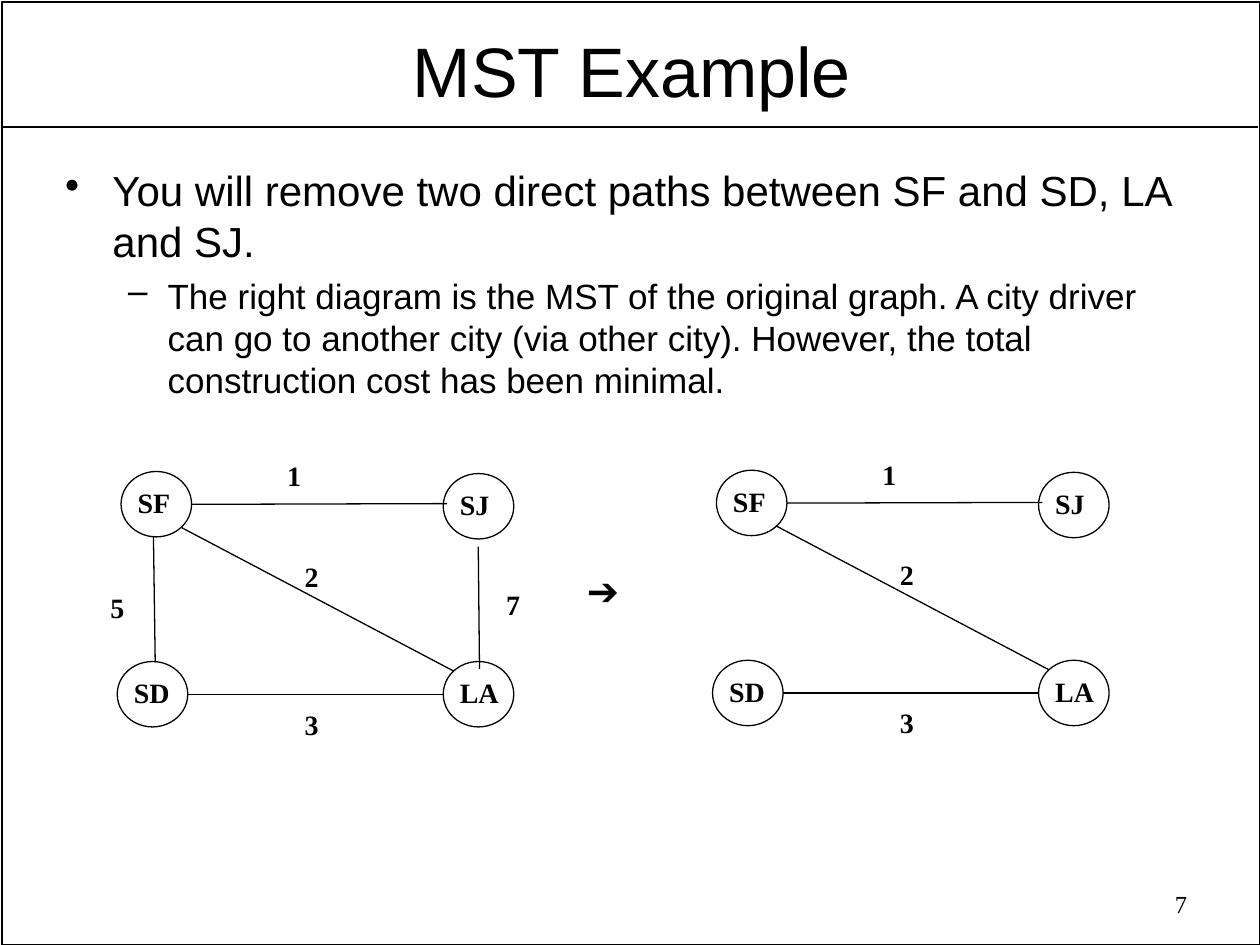
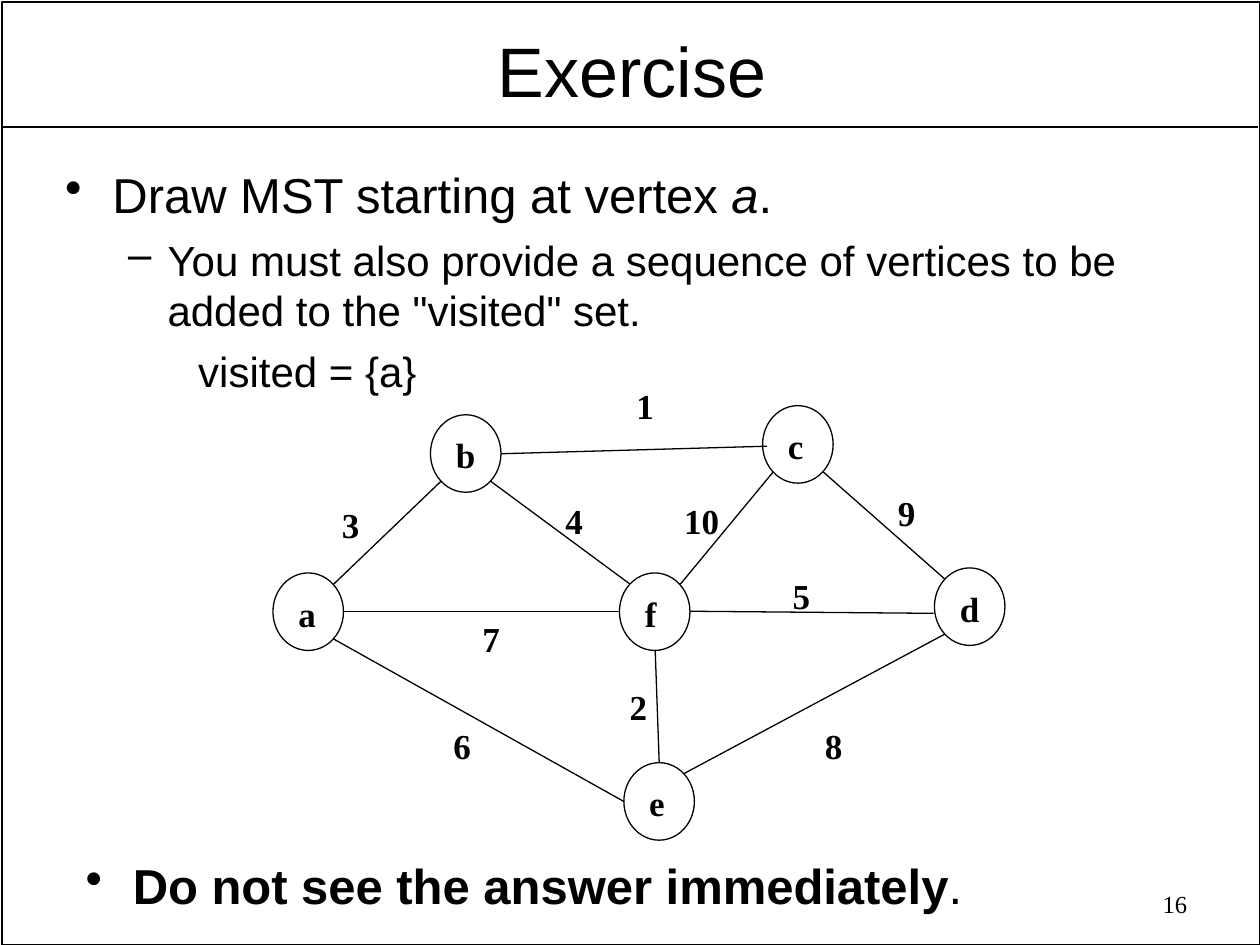
from lxml.etree import SubElement
from pptx import Presentation
from pptx.dml.color import RGBColor
from pptx.enum.shapes import MSO_CONNECTOR, MSO_SHAPE
from pptx.enum.text import PP_ALIGN
from pptx.oxml.ns import qn
from pptx.util import Pt

BLACK = RGBColor(0, 0, 0)
SANS = "Arial"
SERIF = "Times New Roman"
FRAME_LINE = 1
GRAPH_LINE = 0.75
INSETS = (7.2, 3.6)

BULLET = {"sign": "•", "left": 27, "hang": 27}
DASH = {"sign": "–", "left": 58.5, "hang": 22.5}
PLAIN = {"sign": None, "left": 76, "hang": 0}

GLYPH_WIDTHS = {
    "S": 0.56, "F": 0.61, "J": 0.5, "D": 0.72, "L": 0.67, "A": 0.72,
    "a": 0.5, "b": 0.56, "c": 0.44, "d": 0.56, "e": 0.44, "f": 0.33,
}
DIGIT_WIDTH = 0.5

CITIES = {
    "size": 16,
    "node": (40.3, 37.4),
    "label_shift": (2.4, 4.4),
    "label_pad": 0,
    "nodes": {"SF": (69.2, 269.4), "SJ": (253.3, 270.6), "SD": (67, 378), "LA": (253.3, 378)},
    "edges": [
        (1, (109.5, 288.2), (255.5, 287.8), (157, 258.5)),
        (2, (259.3, 383.5), (103.8, 301.5), (167, 316)),
        (3, (253.3, 396.7), (107.3, 396.7), (167, 400.5)),
        (5, (87.7, 306.3), (88.7, 378.5), (56, 334)),
        (7, (273.3, 312.3), (274, 382.3), (282.2, 332)),
    ],
}
TREE_WEIGHTS = {1, 2, 3}
TREE = {**CITIES, "edges": [edge for edge in CITIES["edges"] if edge[0] in TREE_WEIGHTS]}
TREE_SHIFT = (340.2, -0.7)

VERTICES = {
    "size": 20,
    "node": (40.3, 44.3),
    "label_shift": (2.3, 7.4),
    "label_pad": 5,
    "nodes": {
        "a": (156, 327.4), "b": (246, 237), "c": (435.8, 231.8),
        "d": (534, 324.5), "e": (356.5, 435.8), "f": (354, 327.4),
    },
    "edges": [
        (1, (438.3, 255), (286.4, 259.3), (356.5, 216)),
        (2, (376.7, 435.8), (374.4, 371.6), (352.7, 388)),
        (3, (252, 275), (190.7, 333.8), (188.3, 284)),
        (4, (360, 333.8), (280.4, 275), (316, 282)),
        (5, (394.5, 349.3), (533.5, 350.5), (445.8, 324.7)),
        (6, (356.5, 458), (190.4, 365), (252, 410.6)),
        (7, (354, 349.3), (196.5, 349.3), (268.6, 349.2)),
        (8, (391, 442), (540, 362.3), (464.2, 410.6)),
        (9, (470.2, 269.5), (540, 331), (506, 277.2)),
        (10, (388.8, 333.8), (442, 269.5), (383.8, 282)),
    ],
}

BODY_BOX = (30.2, 90.7, 660.2, 149)
CLOSING_BOX = (41.8, 485.3, 660.2, 49)

PAGES = [
    {
        "title": "MST Example",
        "number": "7",
        "texts": [(BODY_BOX, [
            (BULLET, 24, 6, [
                ("You will remove two direct paths between SF and SD, LA and SJ.", "")]),
            (DASH, 20, 5, [
                ("The right diagram is the MST of the original graph. A city driver can go to "
                 "another city (via other city). However, the total construction cost has been "
                 "minimal.", "")]),
        ])],
        "graphs": [(CITIES, (0, 0)), (TREE, TREE_SHIFT)],
        "arrow": (328.3, 320.4, 41.8, 33.8),
    },
    {
        "title": "Exercise",
        "number": "16",
        "texts": [
            (BODY_BOX, [
                (BULLET, 28, 7, [
                    ("Draw MST starting at vertex ", ""), ("a", "italic"), (".", "")]),
                (DASH, 24, 6, [
                    ("You must also provide a sequence of vertices to be added to the "
                     "\"visited\" set.", "")]),
                (PLAIN, 24, 6, [("visited = {a}", "")]),
            ]),
            (CLOSING_BOX, [
                (BULLET, 28, 7, [("Do not see the answer immediately", "bold"), (".", "")]),
            ]),
        ],
        "graphs": [(VERTICES, (0, 0))],
        "arrow": None,
    },
]


def points(values):
    return [Pt(value) for value in values]


def add_frame(shapes, at, insets=INSETS, wrap=True):
    frame = shapes.add_textbox(*points(at)).text_frame
    frame.word_wrap = wrap
    frame.margin_left = frame.margin_right = Pt(insets[0])
    frame.margin_top = frame.margin_bottom = Pt(insets[1])
    return frame


def set_font(font, size, name):
    font.size = Pt(size)
    font.name = name
    font.color.rgb = BLACK


def add_line_of_text(shapes, at, text, size, name, align=PP_ALIGN.LEFT, **options):
    frame = add_frame(shapes, at, **options)
    para = frame.paragraphs[0]
    para.text = text
    para.alignment = align
    set_font(para.font, size, name)
    return frame


def set_bullet(para, style):
    properties = para._p.get_or_add_pPr()
    properties.set("marL", str(Pt(style["left"])))
    properties.set("indent", str(-Pt(style["hang"])))
    if style["sign"]:
        colour = SubElement(properties, qn("a:buClr"))
        SubElement(colour, qn("a:srgbClr")).set("val", str(BLACK))
        SubElement(properties, qn("a:buChar")).set("char", style["sign"])
    else:
        SubElement(properties, qn("a:buNone"))


def add_paragraphs(page, at, content):
    frame = add_frame(page.shapes, at)
    for index, (style, size, space, spans) in enumerate(content):
        para = frame.add_paragraph() if index else frame.paragraphs[0]
        para.space_before = Pt(space)
        set_bullet(para, style)
        set_font(para.font, size, SANS)
        for text, emphasis in spans:
            span = para.add_run()
            span.text = text
            if emphasis:
                setattr(span.font, emphasis, True)


def add_outline(shapes, kind, at, width):
    shape = shapes.add_shape(kind, *points(at))
    shape.shadow.inherit = False
    shape.fill.background()
    shape.line.color.rgb = BLACK
    shape.line.width = Pt(width)


def add_line(page, start, end, width):
    line = page.shapes.add_connector(MSO_CONNECTOR.STRAIGHT, *points(start + end))
    line.line.color.rgb = BLACK
    line.line.width = Pt(width)
    SubElement(line._element.spPr, qn("a:effectLst"))


def add_label(shapes, text, position, size, pad=0):
    advance = sum(GLYPH_WIDTHS.get(glyph, DIGIT_WIDTH) for glyph in text)
    width = size * advance + 2 * INSETS[0] + pad
    height = size * 1.22 + 2 * INSETS[1]
    frame = add_line_of_text(shapes, (*position, width, height), text, size, SERIF, wrap=False)
    frame.margin_left = Pt(INSETS[0] + pad)
    frame.paragraphs[0].font.bold = True


def add_graph(page, graph, shift):
    def moved(position, offset=shift):
        return position[0] + offset[0], position[1] + offset[1]

    for name, position in graph["nodes"].items():
        corner = moved(position)
        group = page.shapes.add_group_shape()
        add_label(group.shapes, name, moved(corner, graph["label_shift"]),
                  graph["size"], graph["label_pad"])
        add_outline(group.shapes, MSO_SHAPE.OVAL, corner + graph["node"], GRAPH_LINE)
    for weight, start, end, position in graph["edges"]:
        add_line(page, moved(start), moved(end), GRAPH_LINE)
        add_label(page.shapes, str(weight), moved(position), graph["size"])


def add_page(deck, content):
    page = deck.slides.add_slide(deck.slide_layouts[6])
    add_outline(page.shapes, MSO_SHAPE.RECTANGLE, (1, 1, 719, 539), FRAME_LINE)
    add_line(page, (1, 72.5), (719, 72.5), FRAME_LINE)
    add_line_of_text(page.shapes, (38.2, 13.7, 645.8, 51.8), content["title"], 40, SANS,
                     PP_ALIGN.CENTER, insets=(5, 2.3))
    for at, paragraphs in content["texts"]:
        add_paragraphs(page, at, paragraphs)
    add_line_of_text(page.shapes, (517, 504.7, 168.5, 26), content["number"], 14, SERIF,
                     PP_ALIGN.RIGHT)
    for graph, shift in content["graphs"]:
        add_graph(page, graph, shift)
    if content["arrow"]:
        add_line_of_text(page.shapes, content["arrow"], "➔", 22, SANS)


deck = Presentation()
deck.slide_width, deck.slide_height = Pt(720), Pt(540)
for content in PAGES:
    add_page(deck, content)
deck.save("out.pptx")
